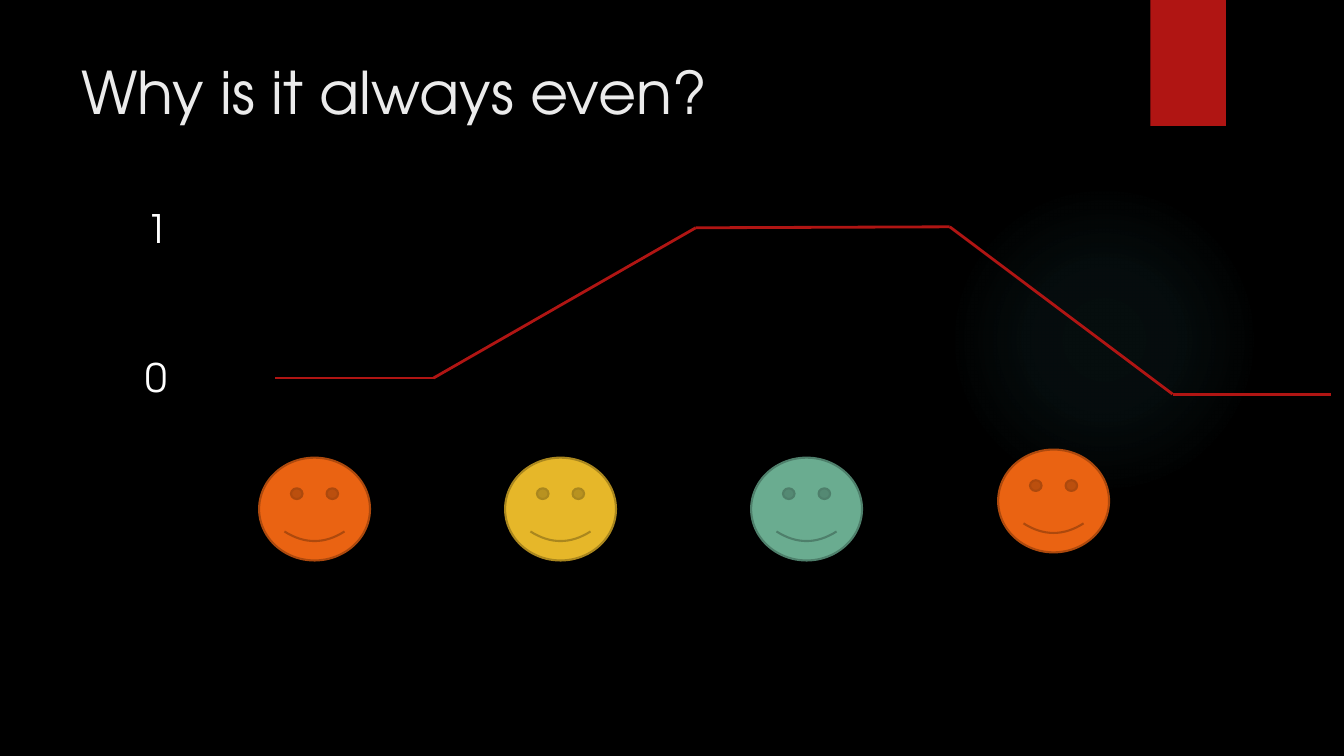
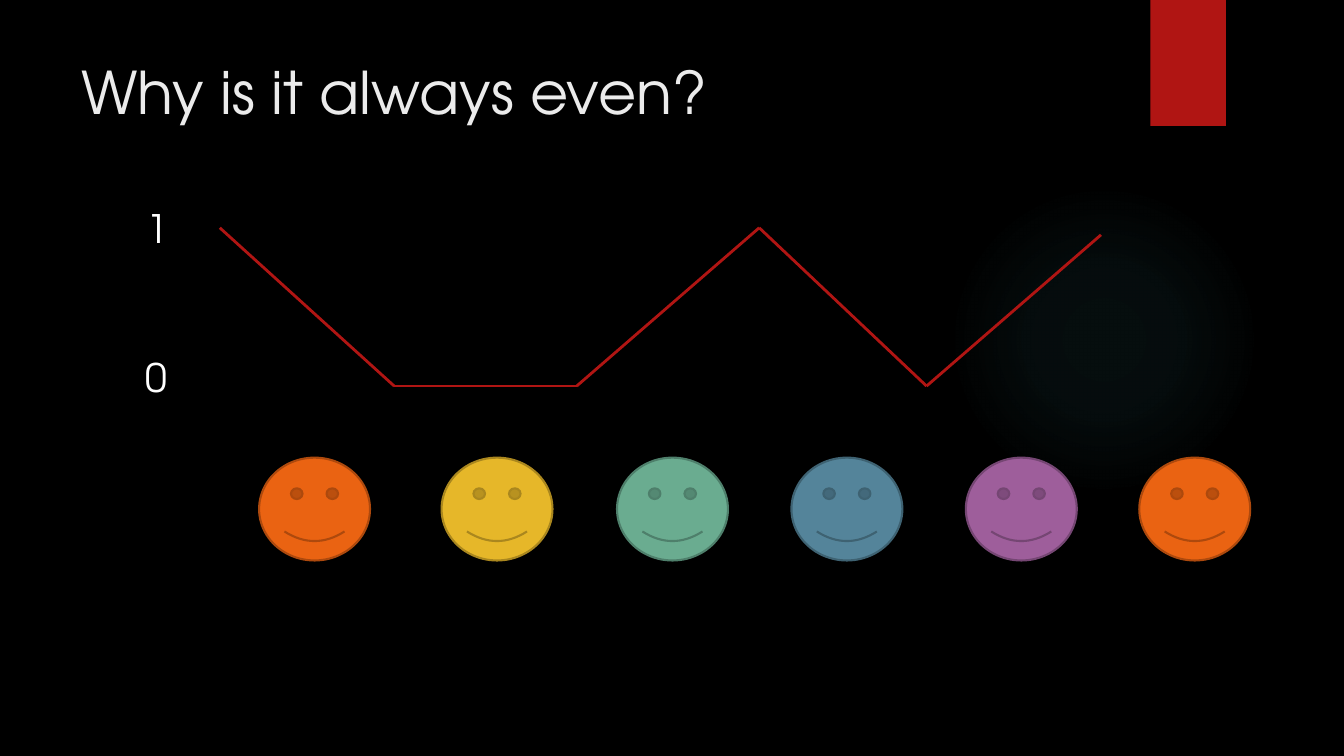
"""Build two slides that trace a 0/1 value along a row of coloured faces."""
from lxml.etree import SubElement
from pptx import Presentation
from pptx.dml.color import RGBColor
from pptx.enum.shapes import MSO_CONNECTOR, MSO_SHAPE
from pptx.oxml import parse_xml
from pptx.oxml.ns import nsdecls, qn
from pptx.util import Inches, Pt

FONT = "TeX Gyre Adventor"
COLORS = {"bg": "000000", "title": "EBEBEB", "label": "FFFFFF", "red": "B01513", "glow": "50B9C1"}
FACES = {
    "orange": ("EA6312", "AD490D"),
    "yellow": ("E6B729", "AA871E"),
    "green": ("6AAC90", "4E7F6B"),
    "blue": ("54849A", "3E6272"),
    "purple": ("9E5E9B", "754673"),
}
SLIDES = [
    {
        "faces": [("orange", 2.57, 4.54), ("yellow", 5.01, 4.54), ("green", 7.45, 4.54),
                  ("orange", 9.9, 4.46)],
        "points": [(2.73, 3.75), (4.3, 3.75), (6.9, 2.26), (9.42, 2.25), (11.63, 3.91), (13.2, 3.91)],
    },
    {
        "faces": [("orange", 2.57, 4.54), ("yellow", 4.38, 4.54), ("green", 6.12, 4.54),
                  ("blue", 7.85, 4.54), ("purple", 9.58, 4.54), ("orange", 11.3, 4.54)],
        "points": [(2.18, 2.26), (3.91, 3.83), (5.72, 3.83), (7.53, 2.26), (9.19, 3.83), (10.92, 2.33)],
    },
]
TEXTS = [
    ("Why is it always even?", 0.71, 0.5, 10.29, 1.53, 42, "title"),
    ("0", 1.35, 3.46, 0.47, 0.57, 28, "label"),
    ("1", 1.35, 1.98, 0.58, 0.57, 28, "label"),
]


def add_shape(s, kind, x, y, w, h, fill=None, line=None):
    sp = s.shapes.add_shape(kind, Inches(x), Inches(y), Inches(w), Inches(h))
    sp.shadow.inherit = False
    sp.fill.background()
    sp.line.fill.background()
    if fill:
        sp.fill.solid()
        sp.fill.fore_color.rgb = RGBColor.from_string(fill)
    if line:
        sp.line.color.rgb = RGBColor.from_string(line)
        sp.line.width = Pt(1.5)
    return sp


prs = Presentation()
prs.slide_width, prs.slide_height = Inches(13.33), Inches(7.5)

stops = "".join(
    f'<a:gs pos="{pos * 1000}"><a:srgbClr val="{COLORS["glow"]}">'
    f'<a:alpha val="{alpha * 1000}"/></a:srgbClr></a:gs>'
    for pos, alpha in [(0, 7), (36, 6), (69, 0), (100, 0)]
)
glow_xml = (
    f'<a:gradFill {nsdecls("a")} rotWithShape="1"><a:gsLst>{stops}</a:gsLst><a:path path="circle">'
    '<a:fillToRect l="50000" t="50000" r="50000" b="50000"/></a:path></a:gradFill>'
)

for content in SLIDES:
    s = prs.slides.add_slide(prs.slide_layouts[6])
    s.background.fill.solid()
    s.background.fill.fore_color.rgb = RGBColor.from_string(COLORS["bg"])

    glow = add_shape(s, MSO_SHAPE.OVAL, 9.41, 1.83, 3.08, 3.08)
    spPr = glow.element.spPr
    spPr.replace(spPr.find(qn("a:noFill")), parse_xml(glow_xml))
    add_shape(s, MSO_SHAPE.RECTANGLE, 11.41, 0, 0.75, 1.25, COLORS["red"])

    for text, x, y, w, h, size, color in TEXTS:
        tf = s.shapes.add_textbox(Inches(x), Inches(y), Inches(w), Inches(h)).text_frame
        tf.word_wrap = True
        r = tf.paragraphs[0].add_run()
        r.text = text
        r.font.name = FONT
        r.font.size = Pt(size)
        r.font.color.rgb = RGBColor.from_string(COLORS[color])

    for name, x, y in content["faces"]:
        add_shape(s, MSO_SHAPE.SMILEY_FACE, x, y, 1.1, 1.02, *FACES[name])

    points = content["points"]
    for (x1, y1), (x2, y2) in zip(points, points[1:]):
        line = s.shapes.add_connector(MSO_CONNECTOR.STRAIGHT, Inches(x1), Inches(y1), Inches(x2), Inches(y2))
        line.line.color.rgb = RGBColor.from_string(COLORS["red"])
        line.line.width = Pt(2)
        SubElement(line.element.spPr, qn("a:effectLst"))

prs.save("out.pptx")
